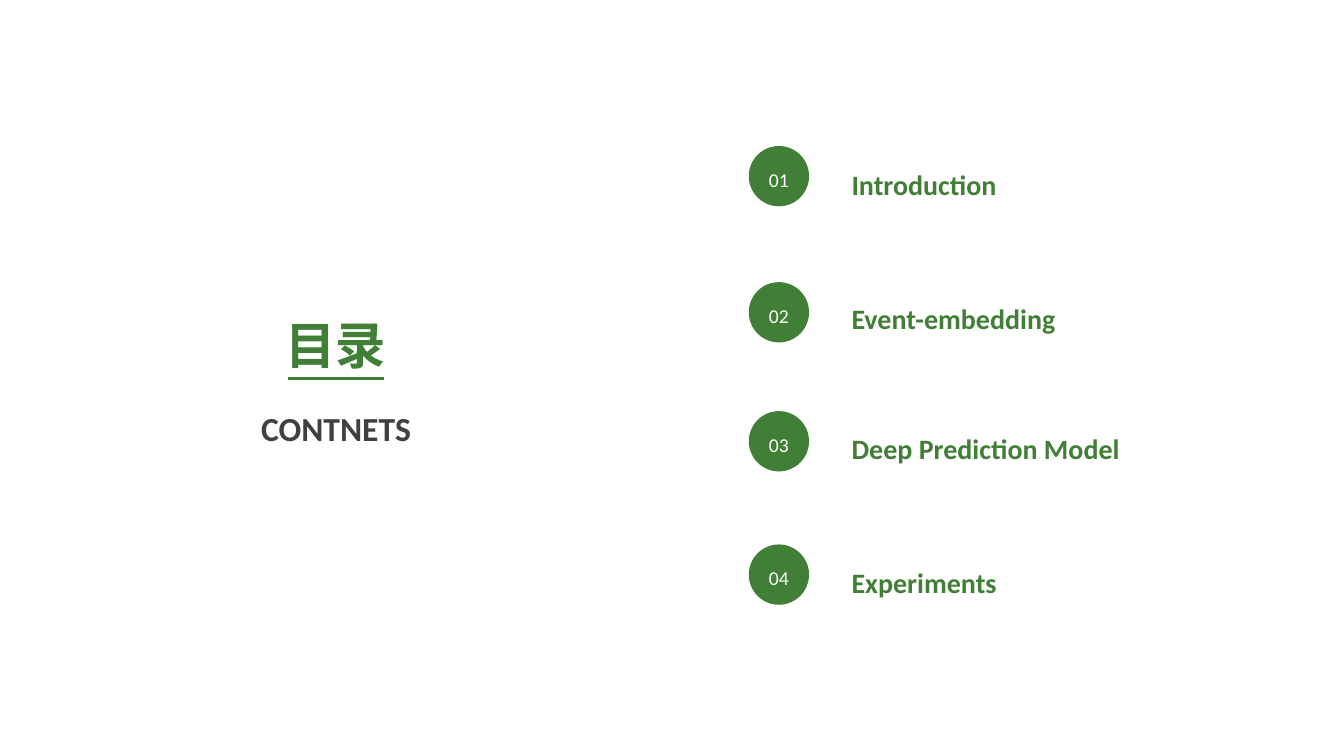
from lxml import etree
from pptx import Presentation
from pptx.dml.color import RGBColor
from pptx.enum import shapes, text
from pptx.oxml.ns import qn
from pptx.util import Cm, Pt

GREEN = "407F35"
GREY = "404040"
WHITE = "FFFFFF"
LEFT, MID = text.PP_ALIGN.LEFT, text.PP_ALIGN.CENTER
DISC = 1.52

# Top of the disc, top of the label, label width, label
TOPICS = [
    (3.68, 3.84, 4.19, "Introduction"),
    (7.11, 7.21, 5.72, "Event-embedding"),
    (10.36, 10.49, 7.34, "Deep Prediction Model"),
    (13.72, 13.87, 4.22, "Experiments"),
]


def color(code):
    return RGBColor.from_string(code)


def write(shape, words, size, code, bold=True, align=LEFT,
          anchor=text.MSO_ANCHOR.TOP, wrap=False):
    frame = shape.text_frame
    frame.word_wrap = wrap
    frame.auto_size = text.MSO_AUTO_SIZE.NONE
    frame.vertical_anchor = anchor
    para = frame.paragraphs[0]
    para.alignment = align
    para.line_spacing = 1.3
    para.space_before = Pt(0)
    run = para.add_run()
    run.text = words
    font = run.font
    font.name = "Calibri"
    font.size = Pt(size)
    font.bold = bold
    font.color.rgb = color(code)


def head(slide, words):
    title = slide.shapes.title
    title.left, title.top = Cm(6.93), Cm(7.32)
    title.width, title.height = Cm(3.07), Cm(2.26)
    write(title, words, 36, GREEN, align=MID)


def label(slide, left, top, width, height, words, size, code, **style):
    box = slide.shapes.add_textbox(Cm(left), Cm(top), Cm(width), Cm(height))
    write(box, words, size, code, **style)


def disc(slide, top, words):
    shape = slide.shapes.add_shape(
        shapes.MSO_SHAPE.OVAL, Cm(18.87), Cm(top), Cm(DISC), Cm(DISC))
    shape.shadow.inherit = False
    shape.fill.solid()
    shape.fill.fore_color.rgb = color(GREEN)
    shape.line.fill.background()
    write(shape, words, 14, WHITE, bold=False, align=MID,
          anchor=text.MSO_ANCHOR.MIDDLE)


def rule(slide, left, right, top):
    line = slide.shapes.add_connector(
        shapes.MSO_CONNECTOR.STRAIGHT, Cm(left), Cm(top), Cm(right), Cm(top))
    line.line.color.rgb = color(GREEN)
    line.line.width = Pt(2)
    etree.SubElement(line._element.spPr, qn("a:effectLst"))


def main():
    deck = Presentation()
    deck.slide_width, deck.slide_height = Cm(33.87), Cm(19.05)
    slide = deck.slides.add_slide(deck.slide_layouts[5])

    head(slide, "目录")
    rule(slide, 7.26, 9.68, 9.53)
    label(slide, 4.62, 9.86, 7.7, 1.6, "CONTNETS", 24, GREY,
          align=MID, wrap=True)

    for num, (top, low, width, words) in enumerate(TOPICS, 1):
        disc(slide, top, f"{num:02}")
        label(slide, 21.21, low, width, 1.37, words, 20, GREEN)

    deck.save("out.pptx")


if __name__ == "__main__":
    main()
